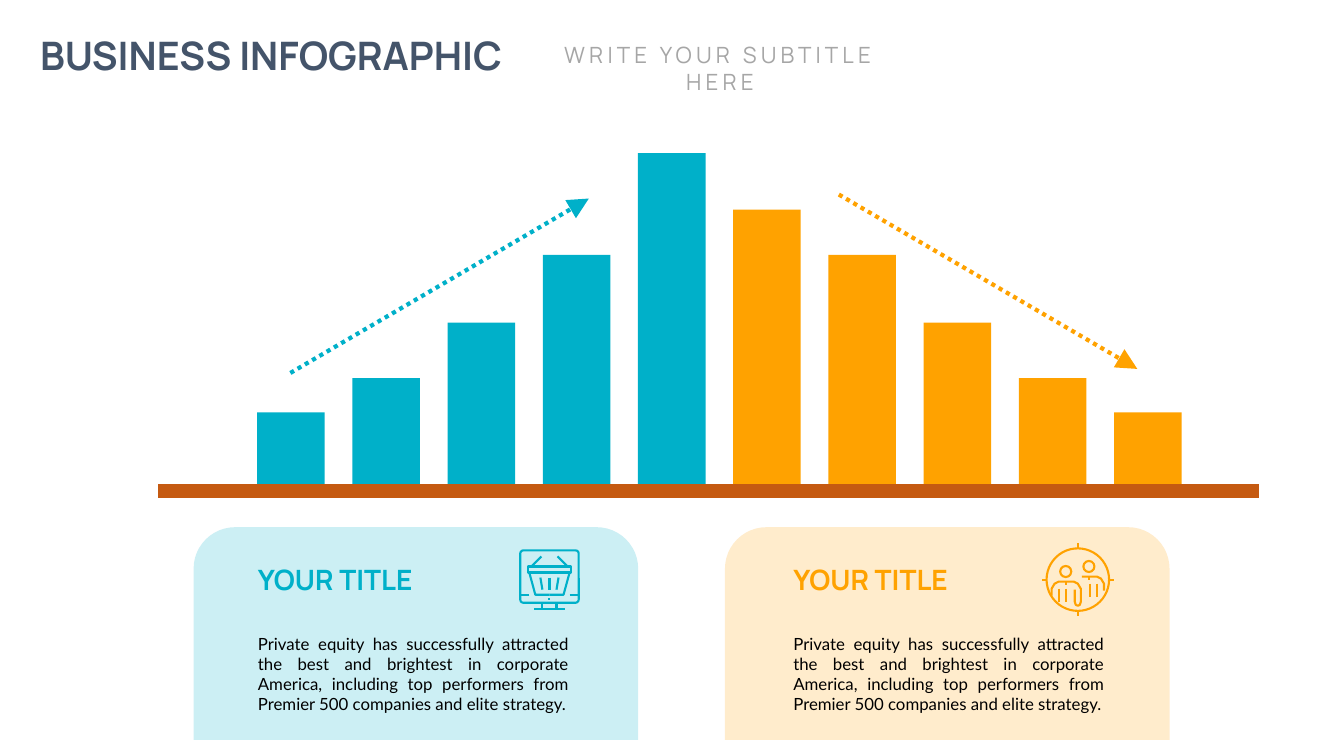
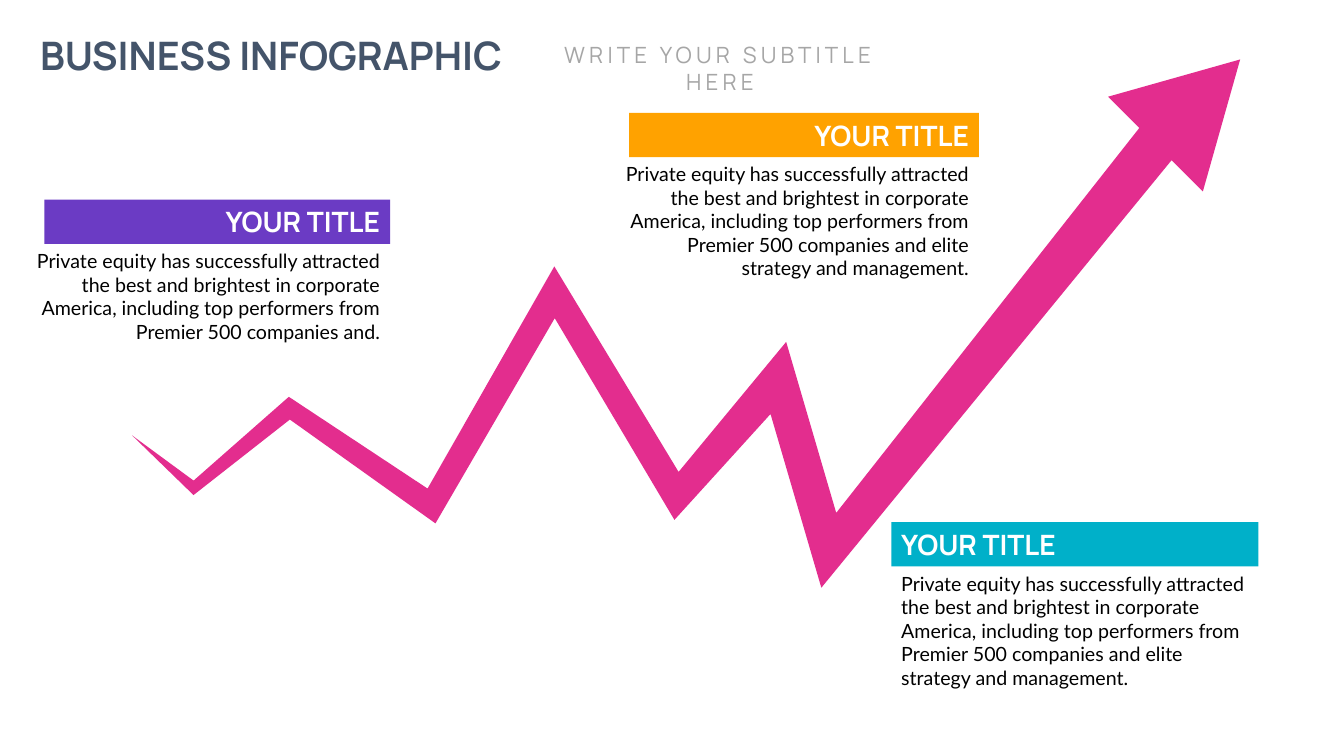
"""Build two business infographic slides: rising and falling bars, and a zigzag arrow."""
from dataclasses import dataclass
from math import hypot

from lxml.etree import SubElement
from pptx import Presentation
from pptx.dml.color import RGBColor
from pptx.enum.dml import MSO_LINE
from pptx.enum.shapes import MSO_CONNECTOR, MSO_SHAPE
from pptx.enum.text import MSO_ANCHOR, PP_ALIGN
from pptx.oxml.ns import qn
from pptx.util import Inches, Pt


@dataclass(frozen=True)
class Theme:
    """Colours, fonts and type sizes."""
    teal: str = "00B0C9"
    orange: str = "FFA200"
    purple: str = "6B3BC4"
    pink: str = "E32D8E"
    brown: str = "C55A11"
    navy: str = "44546A"
    grey: str = "A6A6A6"
    black: str = "000000"
    white: str = "FFFFFF"
    head: str = "Manrope"
    body: str = "Lato"
    title: int = 28
    sub: int = 16
    label: int = 20
    small: int = 12
    text: int = 14


T = Theme()

TITLE = "BUSINESS INFOGRAPHIC"
SUBTITLE = "WRITE YOUR SUBTITLE HERE"
LABEL = "YOUR TITLE"
LEAD = ("Private equity has successfully attracted the best and brightest in "
        "corporate America, including top performers from Premier 500 companies and")
LONG = " elite strategy and management."

RISE = [0.78, 1.12, 1.67, 2.34, 3.35]
FALL = [2.79, 2.34, 1.67, 1.12, 0.78]
BARS = [(h, T.teal) for h in RISE] + [(h, T.orange) for h in FALL]
BASE, FIRST, PITCH, THICK = 4.87, 2.55, 8.5 / 9, 0.67
TRENDS = [((2.88, 3.7), (5.84, 1.97), T.teal),
          ((8.32, 1.93), (11.28, 3.66), T.orange)]

UNIT = 0.01
BASKET = {
    "side": [(0, 15), (14, 15), (20, -7)],
    "handle": [(8, -23), (18, -13)],
    "slot": [(9, -2), (7, 10)],
}
SCREEN = {
    "ledge": [(20, 15), (28, 15)],
    "stand": [(7, 23), (7, 29)],
    "foot": [(0, 29), (15, 29)],
    "button": [(0, 19), (1, 19)],
}
BACK = [(-14, 24), (-14, 17), (-11, 12)]
CHEST = [(-7, 10), (8, 10), (12, 12), (15, 17)]
ARM = [(15, 30), (14, 33), (12, 34), (10, 33), (9, 30), (9, 18)]
SIDE = [(15, 24)]
FRONT, REAR = (-12, -8), (11, -13)
RING, TICK, SKULL = 31, 36, 5.5

SPINE = [(1.31, 4.32, 0), (1.92, 4.84, 0.11), (2.87, 4.05, 0.18),
         (4.28, 5.02, 0.24), (5.5, 2.9, 0.26), (6.71, 4.92, 0.28),
         (7.72, 3.75, 0.35), (8.22, 5.46, 0.35)]
END, NECK, WING, REACH = (11.46, 1.43), 0.16, 0.47, 0.84

NOTES = [(8.84, 5.18, 3.64, T.teal, PP_ALIGN.LEFT, LONG),
         (0.44, 1.98, 3.43, T.purple, PP_ALIGN.RIGHT, "."),
         (6.24, 1.12, 3.47, T.orange, PP_ALIGN.RIGHT, LONG)]
NOTE_W, BAND_H = 3.64, 0.44


def rgb(tone):
    """Turn a hex string into a colour."""
    return RGBColor.from_string(tone)


def move(path, shift):
    """Shift every point of a path."""
    return [(x + shift[0], y + shift[1]) for x, y in path]


def write(shape, text, size, tone, face=T.head, bold=False,
          align=PP_ALIGN.LEFT, anchor=MSO_ANCHOR.TOP):
    """Put one styled paragraph in a shape."""
    frame = shape.text_frame
    frame.word_wrap = True
    frame.vertical_anchor = anchor
    para = frame.paragraphs[0]
    para.text = text
    para.alignment = align
    font = para.font
    font.name, font.size, font.bold = face, Pt(size), bold
    font.color.rgb = rgb(tone)
    return para


def box(slide, x, y, w, h, *args, **style):
    """Add a text box."""
    shape = slide.shapes.add_textbox(*map(Inches, (x, y, w, h)))
    return write(shape, *args, **style)


def paint(shape, tone):
    """Fill a shape without outline or shadow."""
    shape.shadow.inherit = False
    shape.fill.solid()
    shape.fill.fore_color.rgb = rgb(tone)
    shape.line.fill.background()


def block(slide, kind, x, y, w, h, tone):
    """Add a filled preset shape."""
    shape = slide.shapes.add_shape(kind, *map(Inches, (x, y, w, h)))
    paint(shape, tone)
    return shape


def trace(slide, paths, close):
    """Add one freeform made of several paths."""
    pen = None
    for path in paths:
        start, *rest = [(Inches(x), Inches(y)) for x, y in path]
        if pen is None:
            pen = slide.shapes.build_freeform(*start, scale=1)
        else:
            pen.move_to(*start)
        pen.add_line_segments(rest, close=close)
    return pen.convert_to_shape()


def rule(slide, start, end, tone, width):
    """Add a straight line."""
    line = slide.shapes.add_connector(
        MSO_CONNECTOR.STRAIGHT, *map(Inches, (*start, *end)))
    line.line.color.rgb = rgb(tone)
    line.line.width = Pt(width)
    SubElement(line._element.spPr, qn("a:effectLst"))
    return line


def shop():
    """Plan a basket on a screen: frames and strokes in units from the centre."""
    frames = [(MSO_SHAPE.ROUNDED_RECTANGLE, 0, -3, 29, 26),
              (MSO_SHAPE.RECTANGLE, 0, -10, 21.5, 3)]
    halves = [*BASKET.values(), *SCREEN.values()]
    strokes = [[(side * x, y) for x, y in half]
               for half in halves for side in (-1, 1)]
    return frames, strokes + [[(0, -2), (0, 10)]]


def crowd():
    """Plan two people in a target: frames and strokes in units from the centre."""
    frames = [(MSO_SHAPE.OVAL, 0, 0, RING, RING)]
    frames += [(MSO_SHAPE.OVAL, x, y, SKULL, SKULL) for x, y in (FRONT, REAR)]
    strokes = [[(dx * r, dy * r) for r in (RING, TICK)]
               for dx, dy in ((1, 0), (0, 1), (-1, 0), (0, -1))]
    slits = [[(x, 17), (x, 30)] for x in (-7, 0)]
    collar = [(0, 10), (0, 13)]
    strokes += [move(p, FRONT) for p in (BACK + CHEST + ARM, collar, *slits)]
    pleats = [move(slit, (8, 0)) for slit in slits]
    strokes += [move(p, REAR) for p in (CHEST + SIDE, collar, *pleats)]
    return frames, strokes


def icon(slide, cx, cy, plan, tone):
    """Draw an outline icon around a centre."""
    frames, strokes = plan()
    parts = []
    for kind, x, y, rx, ry in frames:
        place = (cx + (x - rx) * UNIT, cy + (y - ry) * UNIT,
                 2 * rx * UNIT, 2 * ry * UNIT)
        part = slide.shapes.add_shape(kind, *map(Inches, place))
        if kind == MSO_SHAPE.ROUNDED_RECTANGLE:
            part.adjustments[0] = 0.06
        parts.append(part)
    paths = [[(cx + x * UNIT, cy + y * UNIT) for x, y in s] for s in strokes]
    parts.append(trace(slide, paths, False))
    for part in parts:
        part.shadow.inherit = False
        part.fill.background()
        part.line.color.rgb = rgb(tone)
        part.line.width = Pt(1.5)


CARDS = [(1.92, 2.46, T.teal, 5.45, shop), (7.19, 7.77, T.orange, 10.69, crowd)]


def card(slide, left, inner, tone, mid, plan):
    """Add a tinted card with label, icon and text."""
    panel = block(slide, MSO_SHAPE.ROUND_2_SAME_RECTANGLE,
                  left, 5.23, 4.41, 2.11, tone)
    panel.adjustments[0] = 0.195
    hue = panel._element.spPr.find(qn("a:solidFill"))[0]
    SubElement(hue, qn("a:alpha"), val="20000")
    box(slide, inner, 5.53, 2.2, 0.44, LABEL, T.label, tone,
        bold=True, anchor=MSO_ANCHOR.MIDDLE)
    box(slide, inner, 6.23, 3.28, 0.91, LEAD + " elite strategy.", T.small,
        T.black, T.body, align=PP_ALIGN.JUSTIFY, anchor=MSO_ANCHOR.MIDDLE)
    icon(slide, mid, 5.75, plan, tone)


def normal(a, b):
    """Give the unit vector square to the line from a to b, on its lower side."""
    dx, dy = b[0] - a[0], b[1] - a[1]
    size = hypot(dx, dy)
    return -dy / size, dx / size


def zigzag():
    """Outline a ribbon with mitred turns that widens along its spine to a head."""
    upper, lower = [SPINE[0][:2]], []
    for prev, (x, y, wide), then in zip(SPINE, SPINE[1:], SPINE[2:] + [END]):
        (ax, ay), (bx, by) = normal(prev, (x, y)), normal((x, y), then)
        half = wide / 2 / (1 + ax * bx + ay * by)
        mx, my = half * (ax + bx), half * (ay + by)
        upper.append((x - mx, y - my))
        lower.append((x + mx, y + my))
    x, y = END
    head = [(x + d, y + d) for d in (-NECK, -WING)]
    head.append((x + REACH, y - REACH))
    head += [(x + d, y + d) for d in (WING, NECK)]
    return upper + head + lower[::-1]


def note(slide, x, y, w, tone, align, tail):
    """Add a coloured band with text below it."""
    band = block(slide, MSO_SHAPE.RECTANGLE, x, y, w, BAND_H, tone)
    write(band, LABEL, T.label, T.white, bold=True, align=align,
          anchor=MSO_ANCHOR.MIDDLE)
    box(slide, x + w - NOTE_W, y + BAND_H, NOTE_W, 1.28, LEAD + tail,
        T.text, T.black, T.body, align=align)


def page(deck):
    """Add a blank slide with title and subtitle."""
    slide = deck.slides.add_slide(deck.slide_layouts[6])
    box(slide, 0.24, 0.26, 4.9, 0.57, TITLE, T.title, T.navy,
        bold=True, align=PP_ALIGN.CENTER)
    para = box(slide, 5.13, 0.36, 4.02, 0.37, SUBTITLE, T.sub, T.grey,
               align=PP_ALIGN.CENTER)
    para.runs[0]._r.get_or_add_rPr().set("spc", "300")
    return slide


def peak(deck):
    """Build the bar slide."""
    slide = page(deck)
    for args in CARDS:
        card(slide, *args)
    for i, (high, tone) in enumerate(BARS):
        block(slide, MSO_SHAPE.RECTANGLE, FIRST + i * PITCH, BASE - high,
              THICK, high, tone)
    for start, end, tone in TRENDS:
        line = rule(slide, start, end, tone, 3).line
        line.dash_style = MSO_LINE.ROUND_DOT
        SubElement(line._ln, qn("a:tailEnd"), type="triangle", w="lg", len="lg")
    rule(slide, (1.57, BASE), (12.49, BASE), T.brown, 10)


def growth(deck):
    """Build the zigzag arrow slide."""
    slide = page(deck)
    paint(trace(slide, [zigzag()], True), T.pink)
    for args in NOTES:
        note(slide, *args)


def main():
    """Build and save the deck."""
    deck = Presentation()
    deck.slide_width, deck.slide_height = Inches(13.33), Inches(7.5)
    peak(deck)
    growth(deck)
    deck.save("out.pptx")


if __name__ == "__main__":
    main()
